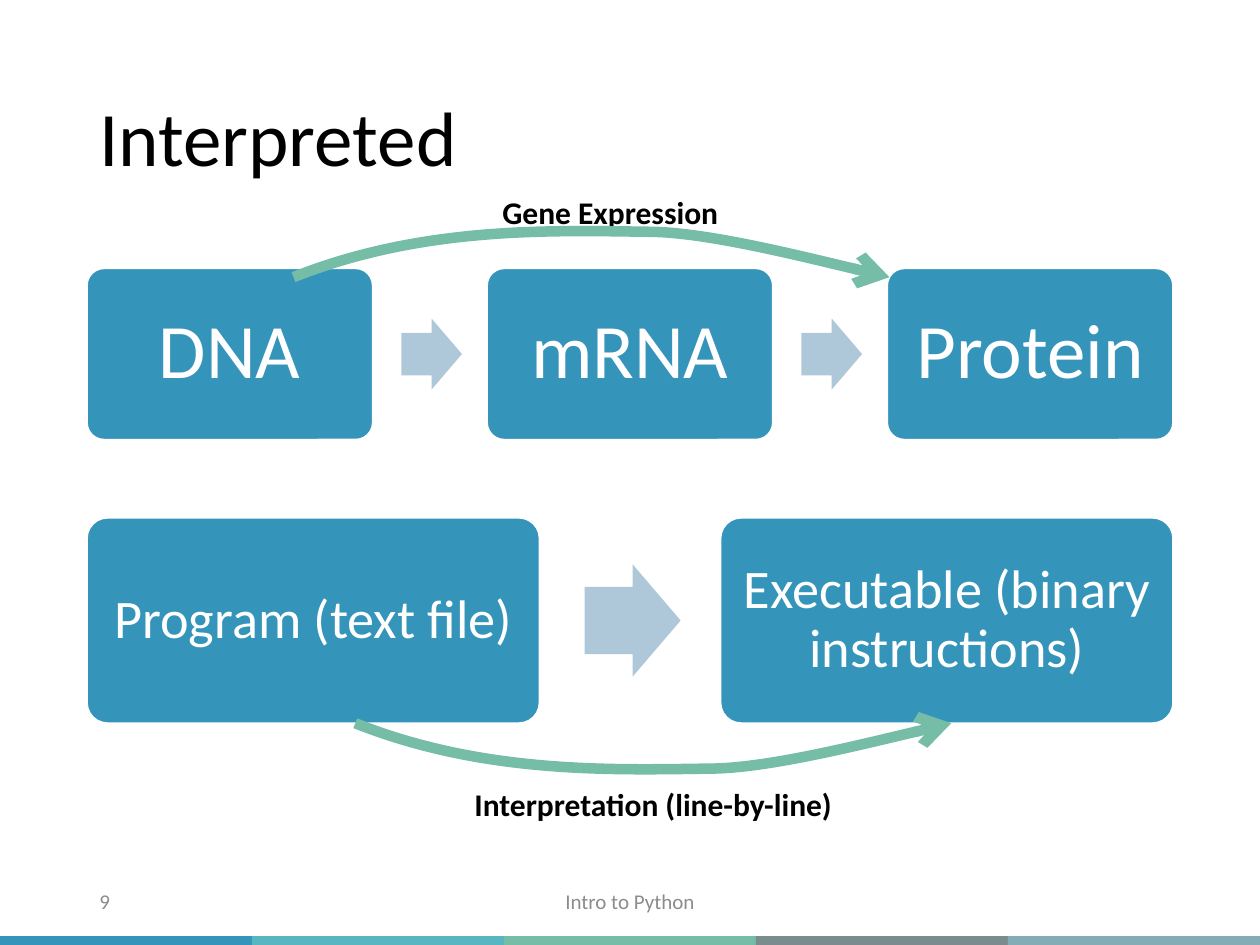
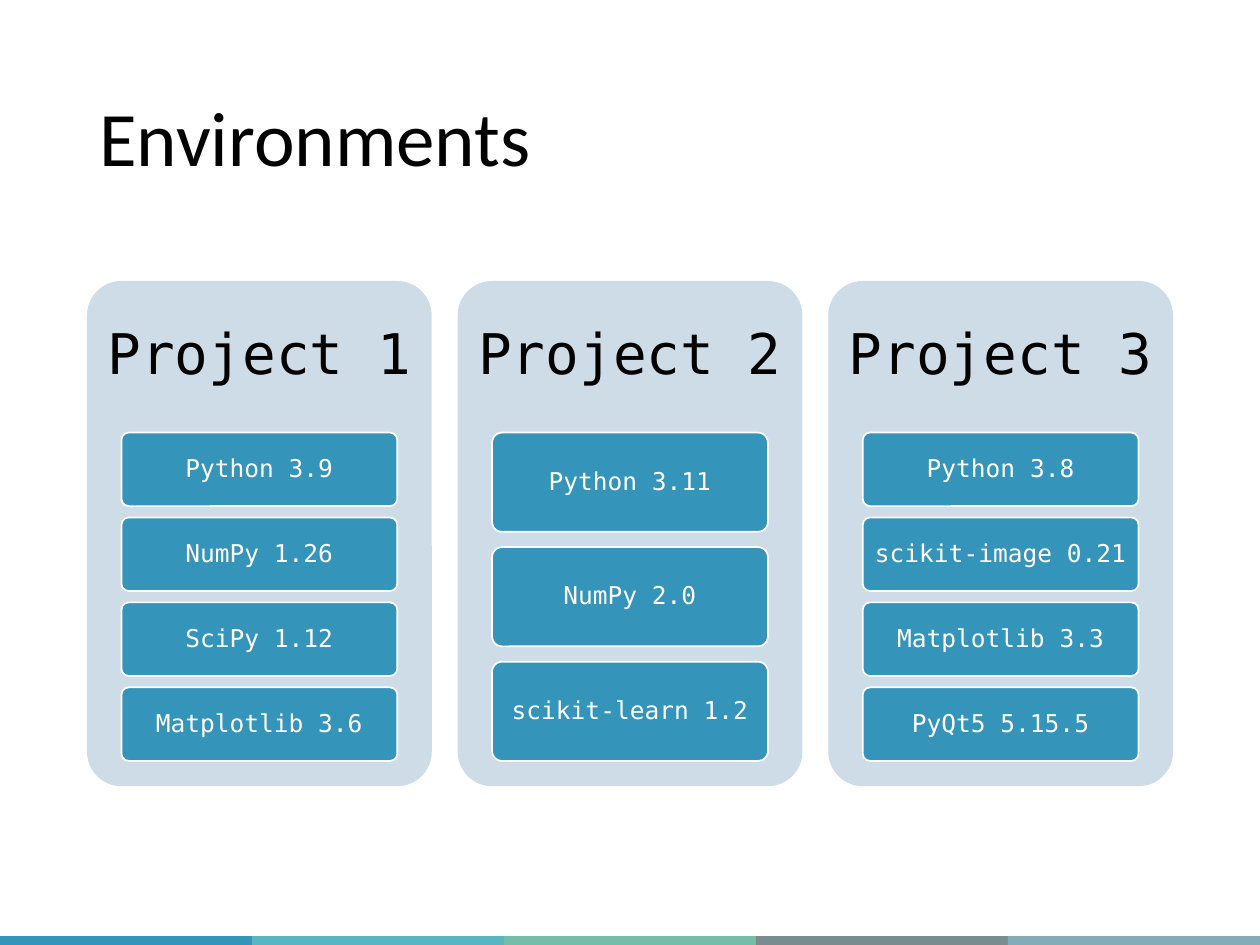
from lxml.etree import SubElement
from pptx import Presentation
from pptx.dml.color import RGBColor
from pptx.enum.shapes import MSO_SHAPE
from pptx.enum.text import MSO_ANCHOR, PP_ALIGN
from pptx.oxml.ns import qn
from pptx.util import Inches, Pt

# Shared look
WIDTH, HEIGHT = 10, 7.5
MARGIN = 0.69
CONTENT = WIDTH - 2 * MARGIN
BLUE, GREEN, WHITE, BLACK = "3494BA", "75BDA7", "FFFFFF", "000000"
PANEL, ARROW, GREY = "CEDCE7", "AEC8D9", "8C8C8C"
BANDS = [BLUE, "58B6C0", GREEN, "7A8C8E", "84ACB6"]
BAND_TOP = 7.43
SANS, MONO = "Calibri", "DejaVu Sans Mono"

FLOW_GAP = 0.4       # gap between flow steps, as a share of a step
PANEL_GAP = 0.075    # gap between panels, as a share of a panel
PACKAGE_GAP = 0.154  # gap between packages, as a share of a package

# Curve control points: distance right of the start, and distance away from it
ARC = [[(1.03, 0.41), (2.06, 0.37), (2.85, 0.36)],
       [(3.31, 0.35), (4.73, 0), (4.73, 0)]]

PROJECTS = {
    "Project 1": ["Python 3.9", "NumPy 1.26", "SciPy 1.12", "Matplotlib 3.6"],
    "Project 2": ["Python 3.11", "NumPy 2.0", "scikit-learn 1.2"],
    "Project 3": ["Python 3.8", "scikit-image 0.21", "Matplotlib 3.3", "PyQt5 5.15.5"],
}


def color(value):
    return RGBColor.from_string(value)


def spread(start, length, count, gap):
    """Return the size and the starts of equal items whose gap is a share of their size."""
    size = length / (count + gap * (count - 1))
    return size, [start + index * size * (1 + gap) for index in range(count)]


def write(shape, text, size=18, font=SANS, fill=BLACK, bold=False, align=PP_ALIGN.CENTER,
          anchor=MSO_ANCHOR.MIDDLE, spacing=1.0, insets=(0.1, 0.05), wrap=True):
    frame = shape.text_frame
    frame.word_wrap = wrap
    frame.vertical_anchor = anchor
    frame.margin_left = frame.margin_right = Inches(insets[0])
    frame.margin_top = frame.margin_bottom = Inches(insets[1])
    para = frame.paragraphs[0]
    para.alignment = align
    para.line_spacing = spacing
    span = para.add_run()
    span.text = text
    span.font.name = font
    span.font.size = Pt(size)
    span.font.bold = bold
    span.font.color.rgb = color(fill)


def add_text(page, place, text, **style):
    box = page.shapes.add_textbox(*map(Inches, place))
    write(box, text, **style)


def add_block(page, kind, place, fill, line=None, adjust=()):
    block = page.shapes.add_shape(kind, *map(Inches, place))
    block.shadow.inherit = False
    block.fill.solid()
    block.fill.fore_color.rgb = color(fill)
    if line:
        block.line.color.rgb = color(line)
        block.line.width = Pt(1)
    else:
        block.line.fill.background()
    for index, value in enumerate(adjust):
        block.adjustments[index] = value
    return block


def add_card(page, place, text, **style):
    card = add_block(page, MSO_SHAPE.ROUNDED_RECTANGLE, place, BLUE, WHITE, [0.1])
    write(card, text, fill=WHITE, spacing=0.9, **style)


def add_flow(page, top, height, steps, size, inset):
    """Draw a row of cards with a block arrow in each gap."""
    width, lefts = spread(MARGIN, CONTENT, len(steps), FLOW_GAP)
    for left, step in zip(lefts, steps):
        add_card(page, (left, top, width, height), step, size=size, insets=(inset, inset))
    arrow_width, arrow_height = 0.212 * width, 0.248 * width
    for left in lefts[:-1]:
        place = (left + 1.1 * width, top + (height - arrow_height) / 2,
                 arrow_width, arrow_height)
        add_block(page, MSO_SHAPE.RIGHT_ARROW, place, ARROW, adjust=[0.6, 0.5])


def add_arc(page, left, top, direction):
    """Draw a curved arrow that bends up (-1) or down (1)."""
    curves = [[(Inches(left + x), Inches(top + direction * y)) for x, y in curve]
              for curve in ARC]
    builder = page.shapes.build_freeform(Inches(left), Inches(top))
    builder.add_line_segments([curve[-1] for curve in curves], close=False)
    arc = builder.convert_to_shape()
    arc.shadow.inherit = False
    arc.fill.background()
    arc.line.color.rgb = color(GREEN)
    arc.line.width = Pt(6)
    # Turn the straight segments into curves
    outline = next(arc.element.iter(qn("a:path")))
    for segment in outline.findall(qn("a:lnTo")):
        outline.remove(segment)
    for curve in curves:
        bend = SubElement(outline, qn("a:cubicBezTo"))
        for x, y in curve:
            SubElement(bend, qn("a:pt"), x=str(x - arc.left), y=str(y - arc.top))
    SubElement(arc.line._get_or_add_ln(), qn("a:tailEnd"), type="arrow")


def add_page(deck, title):
    page = deck.slides.add_slide(deck.slide_layouts[6])
    width, lefts = spread(0, WIDTH, len(BANDS), 0)
    for left, fill in zip(lefts, BANDS):
        add_block(page, MSO_SHAPE.RECTANGLE, (left, BAND_TOP, width, HEIGHT - BAND_TOP), fill)
    add_text(page, (MARGIN, 0.4, CONTENT, 1.45), title, size=44,
             align=PP_ALIGN.LEFT, spacing=0.9)
    return page


def add_footer(page, number, text):
    add_text(page, (3.31, 6.95, 3.38, 0.4), text, size=12, fill=GREY)
    add_text(page, (MARGIN, 6.95, 2.25, 0.4), number, size=12, fill=GREY,
             align=PP_ALIGN.LEFT)


def add_project(page, left, width, name, packages):
    """Draw a panel with its heading and a stack of packages."""
    top, height = 2.23, 4.01
    add_block(page, MSO_SHAPE.ROUNDED_RECTANGLE, (left, top, width, height), PANEL,
              adjust=[0.1])
    add_text(page, (left, top, width, 0.3 * height), name, size=32, font=MONO,
             spacing=0.9, insets=(0.13, 0.13))
    size, tops = spread(top + 0.3 * height, 0.65 * height, len(packages), PACKAGE_GAP)
    for card_top, package in zip(tops, packages):
        add_card(page, (left + 0.1 * width, card_top, 0.8 * width, size), package,
                 size=14, font=MONO, insets=(0.04, 0.03))


def add_interpreted(deck):
    page = add_page(deck, "Interpreted")
    add_flow(page, 2.13, 1.36, ["DNA", "mRNA", "Protein"], size=44, inset=0.18)
    add_footer(page, "9", "Intro to Python")
    add_flow(page, 4.11, 1.63, ["Program (text file)", "Executable (binary instructions)"],
             size=31, inset=0.13)
    label = {"bold": True, "wrap": False, "anchor": MSO_ANCHOR.TOP}
    add_text(page, (3.88, 1.48, 1.93, 0.4), "Gene Expression", **label)
    add_arc(page, 2.33, 2.2, -1)
    add_arc(page, 2.82, 5.74, 1)
    add_text(page, (3.65, 6.18, 3.07, 0.4), "Interpretation (line-by-line)", **label)


def add_environments(deck):
    page = add_page(deck, "Environments")
    width, lefts = spread(MARGIN, CONTENT, len(PROJECTS), PANEL_GAP)
    for left, (name, packages) in zip(lefts, PROJECTS.items()):
        add_project(page, left, width, name, packages)


def main():
    deck = Presentation()
    deck.slide_width, deck.slide_height = Inches(WIDTH), Inches(HEIGHT)
    add_interpreted(deck)
    add_environments(deck)
    deck.save("out.pptx")


if __name__ == "__main__":
    main()
